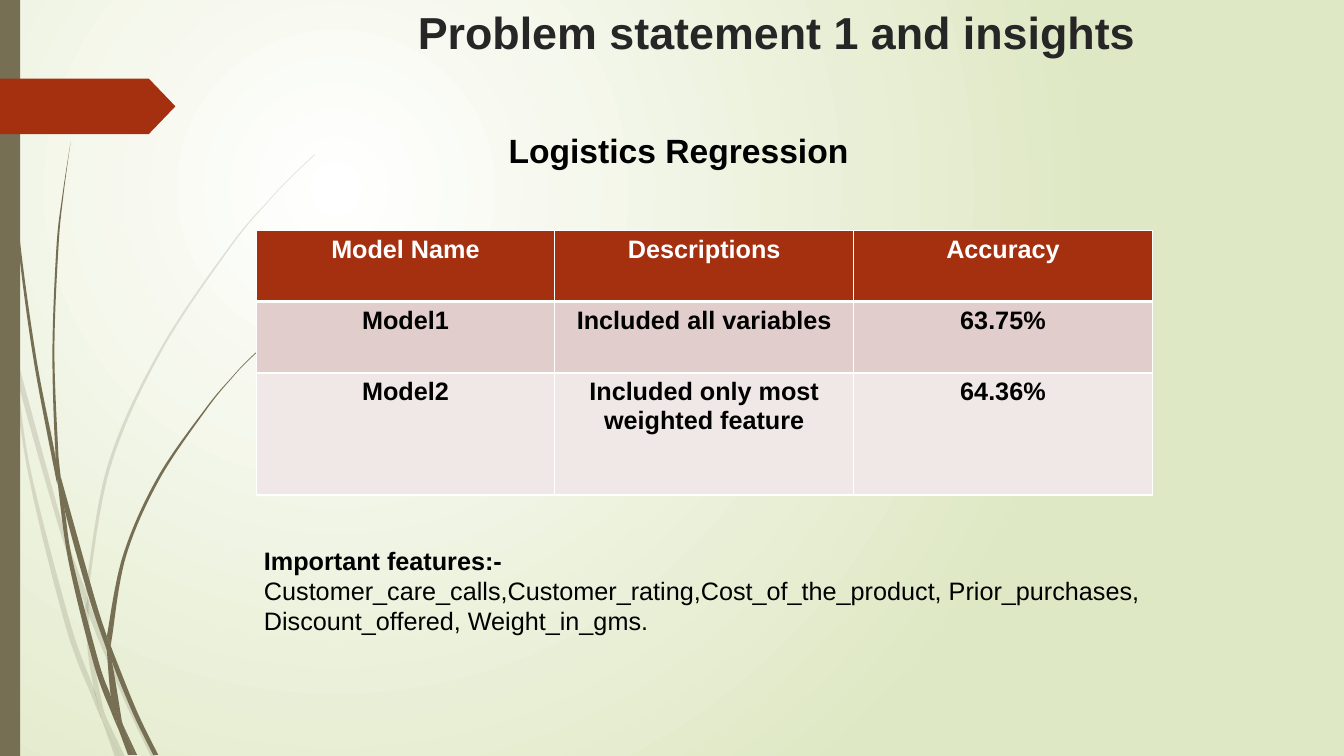
import pptx
import pptx.util
import pptx.dml.color
import pptx.enum.shapes
import pptx.enum.text
import pptx.oxml
import pptx.oxml.ns

Inches, Pt = pptx.util.Inches, pptx.util.Pt
RGBColor = pptx.dml.color.RGBColor
ALIGN = pptx.enum.text.PP_ALIGN
SHAPE = pptx.enum.shapes.MSO_SHAPE
qn, nsdecls = pptx.oxml.ns.qn, pptx.oxml.ns.nsdecls

# Content
TITLE = "Problem statement 1 and insights"
SUBTITLE = "Logistics Regression"
MODELS = [
    ("Model Name", "Descriptions", "Accuracy"),
    ("Model1", "Included all variables", "63.75%"),
    ("Model2", "Included only most weighted feature", "64.36%"),
]
FEATURES_LABEL = "Important features:- "
FEATURES = ("Customer_care_calls,Customer_rating,Cost_of_the_product, "
            "Prior_purchases, Discount_offered, Weight_in_gms.")

# Colours and type
WHITE = RGBColor(0xFF, 0xFF, 0xFF)
BLACK = RGBColor(0, 0, 0)
INK = RGBColor(0x26, 0x26, 0x26)
RUST = RGBColor(0xA5, 0x30, 0x10)
OLIVE = RGBColor(0x76, 0x6F, 0x54)
PALE_GREEN = RGBColor(0xDF, 0xE8, 0xC4)
ROW_FILLS = [RUST, RGBColor(0xE1, 0xCD, 0xCC), RGBColor(0xF0, 0xE8, 0xE7)]
ROW_HEIGHTS = [0.7, 0.71, 1.21]
FONT = "Arial"

# Grass pieces: one edge out, the other edge back, in inches
PALE_GRASS = [
    ([(0.11, 3.5), (0.09, 3.22), (0, 2.82)], [(0, 2.99), (0.1, 3.44)]),
    ([(0.14, 3.45), (0.17, 3.76), (0.58, 5.22), (0.84, 5.99)], [(0.85, 5.86), (0.62, 5.2), (0.14, 3.45)]),
    ([(0.88, 5.96), (0.88, 6.1), (1.23, 6.94), (1.5, 7.51)], [(1.55, 7.51), (1.27, 6.92), (0.92, 6.07)]),
    ([(1.05, 7.11), (1.19, 7.51)], [(1.24, 7.51), (1.05, 7.11)]),
    ([(0.11, 3.5), (0.28, 4.7), (0.65, 6.21), (0.92, 6.93), (1.01, 7.14)],
     [(0.99, 7.07), (0.93, 6.83), (0.7, 6.19), (0.31, 4.69), (0.17, 3.76), (0.11, 3.5)]),
    ([(0.84, 5.99), (0.87, 6.46), (0.93, 6.83), (0.96, 6.92), (1.05, 7.11)],
     [(1.03, 7.06), (0.91, 6.46), (0.88, 6.1), (0.84, 5.99)]),
    ([(3.12, 1.53), (2.89, 1.75), (2.68, 1.97), (2.28, 2.44), (1.58, 3.48), (1.07, 4.61), (0.85, 5.84)],
     [(0.88, 5.96), (0.88, 5.84), (1.1, 4.62), (1.6, 3.49), (2.29, 2.45), (2.68, 1.98), (2.9, 1.75),
      (3.12, 1.54)]),
    ([(1.01, 7.14), (1.14, 7.51)], [(1.19, 7.51), (1.01, 7.14)]),
    ([(0.88, 6.1), (0.88, 5.96)], [(0.85, 5.86), (0.84, 5.99)]),
    ([(0.93, 6.83), (0.99, 7.07), (1.01, 7.14), (1.19, 7.51)], [(1.05, 7.11), (0.96, 6.92)]),
]
DARK_GRASS = [
    ([(0.03, 0), (0.04, 0.48), (0.07, 1.1), (0.17, 2.33), (0.33, 3.55), (0.56, 4.77)],
     [(0.57, 4.81), (0.55, 4.53), (0.36, 3.55), (0.19, 2.32), (0.08, 1.09), (0.05, 0.48), (0.04, 0)]),
    ([(0.6, 4.72), (0.64, 5.05), (0.88, 5.92), (1.06, 6.45)], [(1.06, 6.31), (0.93, 5.9), (0.6, 4.72)]),
    ([(1.1, 6.41), (1.11, 6.56), (1.32, 7.08), (1.52, 7.49)], [(1.57, 7.49), (1.36, 7.06), (1.13, 6.49)]),
    ([(0.57, 4.77), (0.68, 5.57), (0.93, 6.59), (1.11, 7.08), (1.17, 7.22)],
     [(1.16, 7.17), (1.1, 6.91), (0.98, 6.57), (0.72, 5.56), (0.64, 5.05), (0.57, 4.77)]),
    ([(0.7, 1.41), (0.62, 1.93), (0.56, 2.45), (0.52, 3.49), (0.55, 4.49), (0.6, 4.72)],
     [(0.58, 4.53), (0.54, 3.49), (0.58, 2.45), (0.63, 1.93), (0.7, 1.41)]),
    ([(1.22, 7.19), (1.33, 7.49)], [(1.36, 7.49), (1.22, 7.19)]),
    ([(0.55, 4.49), (0.57, 4.77), (0.64, 5.05)], [(0.6, 4.72), (0.55, 4.49)]),
    ([(2.6, 3.44), (2.45, 3.58), (2.31, 3.73), (2.04, 4.05), (1.56, 4.74), (1.22, 5.51), (1.06, 6.31)],
     [(1.1, 6.41), (1.11, 6.33), (1.25, 5.52), (1.58, 4.76), (2.05, 4.06), (2.31, 3.74), (2.45, 3.59),
      (2.61, 3.44)]),
    ([(1.17, 7.22), (1.27, 7.49)], [(1.31, 7.49), (1.17, 7.22)]),
    ([(1.06, 6.45), (1.1, 6.91), (1.16, 7.06), (1.22, 7.19)], [(1.21, 7.16), (1.11, 6.56), (1.06, 6.45)]),
    ([(1.06, 6.45), (1.11, 6.56)], [(1.1, 6.41), (1.06, 6.31)]),
    ([(1.1, 6.91), (1.16, 7.17), (1.17, 7.22), (1.3, 7.49)], [(1.33, 7.49), (1.22, 7.19), (1.16, 7.06)]),
]


def paint(shape, color, opacity=None):
    shape.shadow.inherit = False
    shape.fill.solid()
    shape.fill.fore_color.rgb = color
    shape.line.fill.background()
    if opacity:
        srgb = shape._element.spPr.find(qn("a:solidFill"))[0]
        srgb.append(pptx.oxml.parse_xml(f'<a:alpha {nsdecls("a")} val="{opacity * 1000}"/>'))


def add_grass(shapes, out_edge, back_edge, opacity=None):
    outline = [(Inches(x), Inches(y)) for x, y in out_edge + back_edge]
    builder = shapes.build_freeform(*outline[0], scale=1.0)
    builder.add_line_segments(outline[1:], close=True)
    grass = builder.convert_to_shape()
    paint(grass, OLIVE, opacity)

    # Bend the straight segments of each edge into a smooth curve
    outline_path = next(grass._element.iter(qn("a:path")))
    segments = list(outline_path)[:len(outline)]
    points = [(int(s[0].get("x")), int(s[0].get("y"))) for s in segments]
    for first, last in ((0, len(out_edge)), (len(out_edge), len(points))):
        edge = points[first:last]
        padded = [edge[0], *edge, edge[-1]]
        for i, (a, b, c, d) in enumerate(zip(padded, padded[1:], padded[2:], padded[3:])):
            controls = [[q + (r - p) / 6 for p, q, r in zip(a, b, c)],
                        [r - (s - q) / 6 for q, r, s in zip(b, c, d)], c]
            bend = "".join(f'<a:pt x="{round(x)}" y="{round(y)}"/>' for x, y in controls)
            outline_path.replace(segments[first + i + 1], pptx.oxml.parse_xml(
                f'<a:cubicBezTo {nsdecls("a")}>{bend}</a:cubicBezTo>'))


def style(paragraph, size, color, bold=True, align=ALIGN.CENTER):
    paragraph.alignment = align
    for run in paragraph.runs:
        run.font.name, run.font.size, run.font.bold = FONT, Pt(size), bold
        run.font.color.rgb = color


def add_borders(cell, top, bottom):
    properties = cell._tc.get_or_add_tcPr()
    for side, width in (("L", 1), ("R", 1), ("T", top), ("B", bottom)):
        properties.append(pptx.oxml.parse_xml(
            f'<a:ln{side} {nsdecls("a")} w="{Pt(width)}"><a:solidFill>'
            f'<a:srgbClr val="{WHITE}"/></a:solidFill></a:ln{side}>'))


def add_text(shapes, left, top, width, height):
    frame = shapes.add_textbox(Inches(left), Inches(top), Inches(width), Inches(height)).text_frame
    frame.word_wrap = True
    return frame.paragraphs[0]


def main():
    deck = pptx.Presentation()
    deck.slide_width, deck.slide_height = Inches(13.33), Inches(7.5)
    slide = deck.slides.add_slide(deck.slide_layouts[5])
    shapes = slide.shapes

    # Radial background
    backdrop = slide.background.fill
    backdrop.gradient()
    for stop, color in zip(backdrop.gradient_stops, (WHITE, PALE_GREEN)):
        stop.color.rgb = color
    gradient = next(slide._element.iter(qn("a:gradFill")))
    gradient.replace(gradient.find(qn("a:lin")), pptx.oxml.parse_xml(
        f'<a:path {nsdecls("a")} path="circle">'
        '<a:fillToRect l="25000" t="25000" r="75000" b="75000"/></a:path>'))

    # Grass, side bar and arrow tab
    for edges in PALE_GRASS:
        add_grass(shapes, *edges, opacity=20)
    for edges in DARK_GRASS:
        add_grass(shapes, *edges)
    paint(shapes.add_shape(SHAPE.RECTANGLE, 0, 0, Inches(0.2), Inches(7.5)), OLIVE)
    tab = shapes.add_shape(SHAPE.PENTAGON, 0, Inches(0.78), Inches(1.74), Inches(0.55))
    tab.adjustments[0] = 0.48
    paint(tab, RUST)

    # Title and subtitle
    title = shapes.title
    title.left, title.top, title.width, title.height = map(Inches, (2.83, 0, 9.75, 1.4))
    title.text_frame.text = TITLE
    title.text_frame.auto_size = pptx.enum.text.MSO_AUTO_SIZE.NONE
    title.text_frame.vertical_anchor = pptx.enum.text.MSO_ANCHOR.TOP
    style(title.text_frame.paragraphs[0], 32, INK)
    subtitle = add_text(shapes, 3.35, 1.24, 6.76, 0.5)
    subtitle.text = SUBTITLE
    style(subtitle, 24, BLACK)

    # Model table
    models = shapes.add_table(len(MODELS), len(MODELS[0]), Inches(2.54), Inches(2.29),
                              Inches(8.89), Inches(sum(ROW_HEIGHTS))).table
    for r, names in enumerate(MODELS):
        models.rows[r].height = Inches(ROW_HEIGHTS[r])
        for c, name in enumerate(names):
            cell = models.cell(r, c)
            add_borders(cell, top=3 if r == 1 else 1, bottom=3 if r == 0 else 1)
            cell.fill.solid()
            cell.fill.fore_color.rgb = ROW_FILLS[r]
            cell.text_frame.text = name
            style(cell.text_frame.paragraphs[0], 18, WHITE if r == 0 else BLACK)

    # Important features
    features = add_text(shapes, 2.52, 5.36, 8.9, 1.31)
    features.text = FEATURES_LABEL
    features.add_run().text = FEATURES
    style(features, 18, BLACK, align=ALIGN.LEFT)
    features.runs[1].font.bold = False

    deck.save("out.pptx")


if __name__ == "__main__":
    main()
